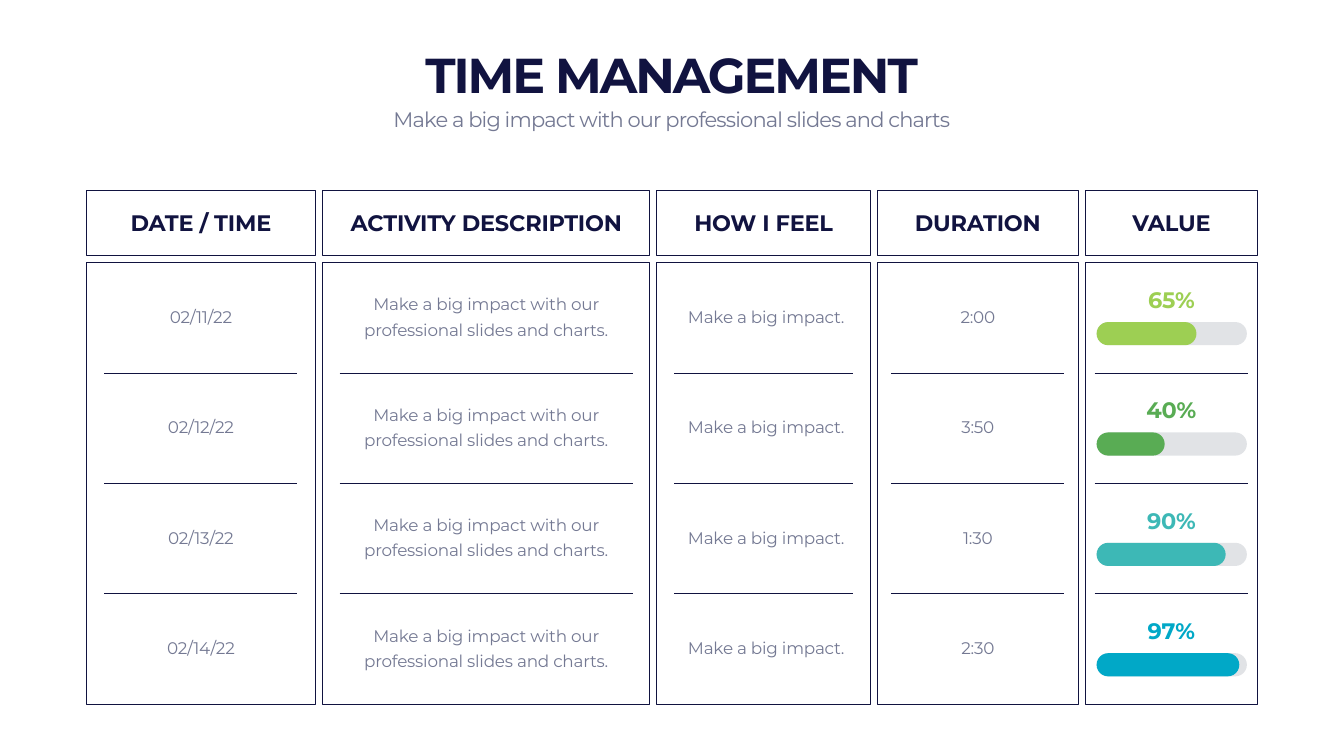
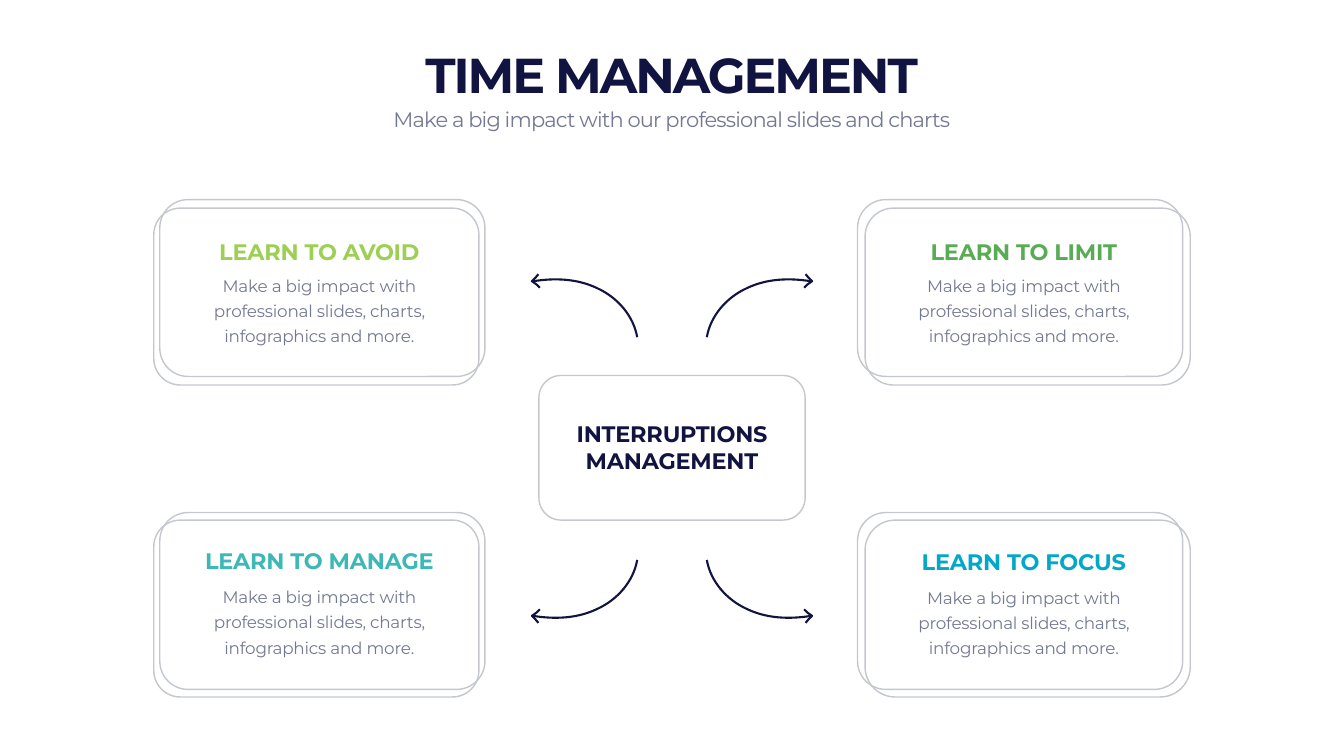
import dataclasses

import lxml.etree
import pptx
import pptx.dml.color
import pptx.enum.shapes
import pptx.enum.text
import pptx.oxml.ns
import pptx.util

Pt = pptx.util.Pt
RGB = pptx.dml.color.RGBColor.from_string
SHAPE = pptx.enum.shapes.MSO_SHAPE
ANCHOR = pptx.enum.text.MSO_ANCHOR
qn = pptx.oxml.ns.qn


@dataclasses.dataclass(frozen=True)
class Theme:
    font: str = "Montserrat"
    navy: str = "111340"
    gray: str = "747993"
    silver: str = "C4C8CE"
    accents: tuple = ("9DCF53", "59AC54", "3DB8B6", "01A8C7")
    title: int = 70
    subtitle: int = 30
    heading: int = 32
    body: int = 24
    leading: int = 36
    heading_h: float = 46.1


T = Theme()
WIDTH, HEIGHT = 1919.52, 1080


def set_all(obj, values):
    for name, value in values.items():
        setattr(obj, name, value)


def add_text(slide, box, text, size, color, bold=False, anchor=ANCHOR.MIDDLE,
             spacing=-0.3, leading=None):
    tf = slide.shapes.add_textbox(*map(Pt, box)).text_frame
    set_all(tf, {
        "word_wrap": True,
        "auto_size": pptx.enum.text.MSO_AUTO_SIZE.SHAPE_TO_FIT_TEXT,
        "vertical_anchor": anchor,
    })
    p = tf.paragraphs[0]
    p.alignment = pptx.enum.text.PP_ALIGN.CENTER
    if leading:
        p.line_spacing = Pt(leading)
    r = p.add_run()
    r.text = text
    set_all(r.font, {"name": T.font, "size": Pt(size), "bold": bold})
    r.font.color.rgb = RGB(color)
    r._r.get_or_add_rPr().set("spc", str(round(spacing * 100)))


def add_heading(slide, box, text, color=T.navy, anchor=ANCHOR.MIDDLE):
    add_text(slide, box, text, T.heading, color, True, anchor)


def add_body(slide, box, text, anchor=ANCHOR.MIDDLE):
    add_text(slide, box, text, T.body, T.gray, anchor=anchor, leading=T.leading)


def set_outline(sp, color, width):
    sp.shadow.inherit = False
    sp.fill.background()
    sp.line.color.rgb = RGB(color)
    sp.line.width = Pt(width)


def add_outline(slide, kind, box, color, width, radius=None):
    sp = slide.shapes.add_shape(kind, *map(Pt, box))
    set_outline(sp, color, width)
    if radius:
        sp.adjustments[0] = radius


def add_pill(slide, box, color, alpha=None):
    sp = slide.shapes.add_shape(SHAPE.ROUNDED_RECTANGLE, *map(Pt, box))
    sp.adjustments[0] = 0.5
    sp.shadow.inherit = False
    sp.fill.solid()
    sp.fill.fore_color.rgb = RGB(color)
    sp.line.fill.background()
    if alpha:
        clr = sp._element.spPr.find(qn("a:solidFill"))[0]
        lxml.etree.SubElement(clr, qn("a:alpha")).set("val", str(alpha * 1000))


def add_rule(slide, x1, x2, y):
    cn = slide.shapes.add_connector(
        pptx.enum.shapes.MSO_CONNECTOR.STRAIGHT, Pt(x1), Pt(y), Pt(x2), Pt(y))
    cn.line.color.rgb = RGB(T.navy)
    cn.line.width = Pt(1)
    lxml.etree.SubElement(cn._element.spPr, qn("a:effectLst"))


def add_curve(slide, points):
    points = [(Pt(x), Pt(y)) for x, y in points]
    fb = slide.shapes.build_freeform(*points[0], scale=1.0)
    fb.add_line_segments(points[1:], close=False)
    sp = fb.convert_to_shape()
    set_outline(sp, T.navy, 3)
    lines = list(sp._element.iter(qn("a:lnTo")))
    outline = lines[0].getparent()
    for i in range(0, len(lines), 3):
        curve = lxml.etree.SubElement(outline, qn("a:cubicBezTo"))
        for line in lines[i:i + 3]:
            curve.append(line[0])
            outline.remove(line)


def title_block(slide, x, y, w):
    add_text(slide, (x, y, w, 92.2), "TIME MANAGEMENT", T.title, T.navy, True,
             ANCHOR.BOTTOM, -2.9)
    add_text(slide, (x, y + 89.3, w, 43.9),
             "Make a big impact with our professional slides and charts",
             T.subtitle, T.gray, anchor=ANCHOR.TOP, spacing=-1.2)


def progress(slide, x, y, w, percent, filled, color):
    add_heading(slide, (x + 8.3, y + 29.8, w - 16.6, T.heading_h), percent, color)
    bar_w = 214.6
    for width, fill, alpha in ((bar_w, T.silver, 50), (filled, color, None)):
        add_pill(slide, (x + 16.4, y + 85, width, 33.1), fill, alpha)


def activity_column(slide, box, col, entries):
    x, y, w, h = box
    head_h, gap = 92.9, 10
    body_y = y + head_h + gap
    row_h = (h - head_h - gap) / len(entries)
    for top, height in ((body_y, h - head_h - gap), (y, head_h)):
        add_outline(slide, SHAPE.RECTANGLE, (x, top, w, height), T.navy, 1)
    for i in range(1, len(entries)):
        add_rule(slide, x + col["rule_in"], x + w - col["rule_in"], body_y + i * row_h)
    text_x = x + (w - col["text_w"]) / 2
    add_heading(slide, (text_x, y + 22.3, col["text_w"], T.heading_h), col["name"])
    trim = col.get("trim", 0)
    cell_h = col.get("lines", 1) * T.leading + 4.5
    for i, entry in enumerate(entries):
        top = body_y + i * row_h
        if col["name"] == "VALUE":
            progress(slide, x, top, w, *entry, T.accents[i])
        else:
            add_body(slide, (text_x + trim, top + 73.9 - cell_h / 2,
                             col["text_w"] - trim, cell_h), entry)


def activity_log(slide, x, y, h):
    columns = [
        {"name": "DATE / TIME", "w": 327.8, "text_w": 259.2, "rule_in": 26},
        {"name": "ACTIVITY DESCRIPTION", "w": 467.3, "text_w": 445, "rule_in": 24.5,
         "lines": 2},
        {"name": "HOW I FEEL", "w": 305.6, "text_w": 274.3, "rule_in": 25, "trim": 7.2},
        {"name": "DURATION", "w": 286.8, "text_w": 259.2, "rule_in": 20},
        {"name": "VALUE", "w": 246.4, "text_w": 229.7, "rule_in": 13.5},
    ]
    entries = [
        ("02/11/22", "02/12/22", "02/13/22", "02/14/22"),
        ("Make a big impact with our professional slides and charts.",) * 4,
        ("Make a big impact.",) * 4,
        ("2:00", "3:50", "1:30", "2:30"),
        (("65%", 142.6), ("40%", 97.2), ("90%", 184.3), ("97%", 203.8)),
    ]
    for col, cells in zip(columns, entries):
        activity_column(slide, (x, y, col["w"], h), col, cells)
        x += col["w"] + 9.8


def advice_card(slide, x, y, card, color):
    w, h = 464.4, 252.7
    shift, drop = card["offset"]
    back_x, front_x = x + max(-shift, 0), x + max(shift, 0)
    for left, top, radius in zip((back_x, front_x), (y, y + drop), card["radii"]):
        add_outline(slide, SHAPE.ROUNDED_RECTANGLE, (left, top, w, h),
                    T.silver, 2, radius)
    text_w = 412.6
    text_x = x + (w + abs(shift) - text_w) / 2
    add_heading(slide, (text_x, y + card["title_dy"], text_w, T.heading_h),
                card["title"], color, ANCHOR.BOTTOM)
    add_body(slide, (text_x, y + card["body_dy"], text_w, 3 * T.leading + 5),
             "Make a big impact with professional slides, charts, "
             "infographics and more.", ANCHOR.TOP)


def curved_arrow(slide, cx, cy, side, level):
    shaft = [(49.7, 159.1), (55.1, 190), (78.1, 216), (106.6, 229),
             (134.6, 242.6), (167, 244.1), (198.2, 239)]
    head = [(190.8, 249.1), (193.7, 245.5), (196.6, 241.9), (200, 239),
            (195.8, 236.2), (191.5, 233.3), (188.6, 229.7)]
    for points in (shaft, head):
        add_curve(slide, [(cx + side * px, cy + level * py) for px, py in points])


def center_box(slide, x, y, w, h):
    add_outline(slide, SHAPE.ROUNDED_RECTANGLE, (x, y, w, h), T.silver, 2, 0.153)
    text_w, text_h = 347.8, 85
    add_heading(slide, (x + (w - text_w) / 2, y + (h - text_h) / 2 - 0.7, text_w, text_h),
                "INTERRUPTIONS MANAGEMENT")


def interruption_map(slide, cx, cy):
    left, right, top, bottom = 219.6, 1224.7, 285.1, 732.2
    cards = [
        {"title": "LEARN TO AVOID", "offset": (-8.6, 12.2), "radii": (0.16, 0.15),
         "title_dy": 50.4, "body_dy": 97.9},
        {"title": "LEARN TO LIMIT", "offset": (10.8, 12.2), "radii": (0.16, 0.16),
         "title_dy": 50.4, "body_dy": 97.9},
        {"title": "LEARN TO MANAGE", "offset": (-8.6, 10.8), "radii": (0.16, 0.15),
         "title_dy": 45.4, "body_dy": 95.5},
        {"title": "LEARN TO FOCUS", "offset": (10.8, 10.8), "radii": (0.16, 0.17),
         "title_dy": 46.4, "body_dy": 96},
    ]
    places = [(x, y) for y in (top, bottom) for x in (left, right)]
    for (x, y), card, color in zip(places, cards, T.accents):
        advice_card(slide, x, y, card, color)
    center_box(slide, cx - 190.1, cy - 104.4, 380.2, 206.6)
    for level in (-1, 1):
        for side in (-1, 1):
            curved_arrow(slide, cx, cy, side, level)


prs = pptx.Presentation()
set_all(prs, {"slide_width": Pt(WIDTH), "slide_height": Pt(HEIGHT)})
log_slide, map_slide = (prs.slides.add_slide(prs.slide_layouts[6]) for _ in range(2))
for slide in (log_slide, map_slide):
    title_block(slide, 119.5, 59, 1679.8)
activity_log(log_slide, 123.1, 272.2, 733.6)
interruption_map(map_slide, WIDTH / 2, 640.8)
prs.save("out.pptx")
